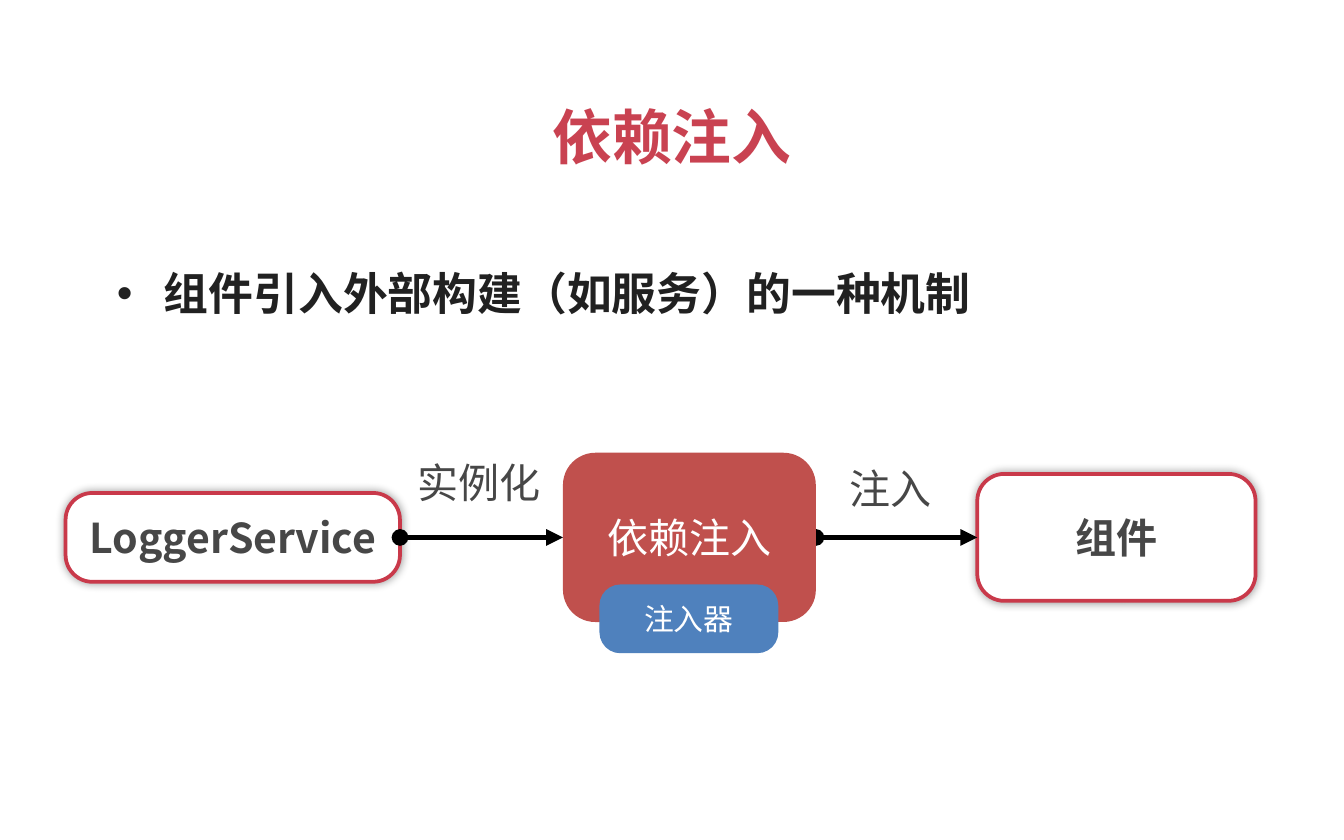
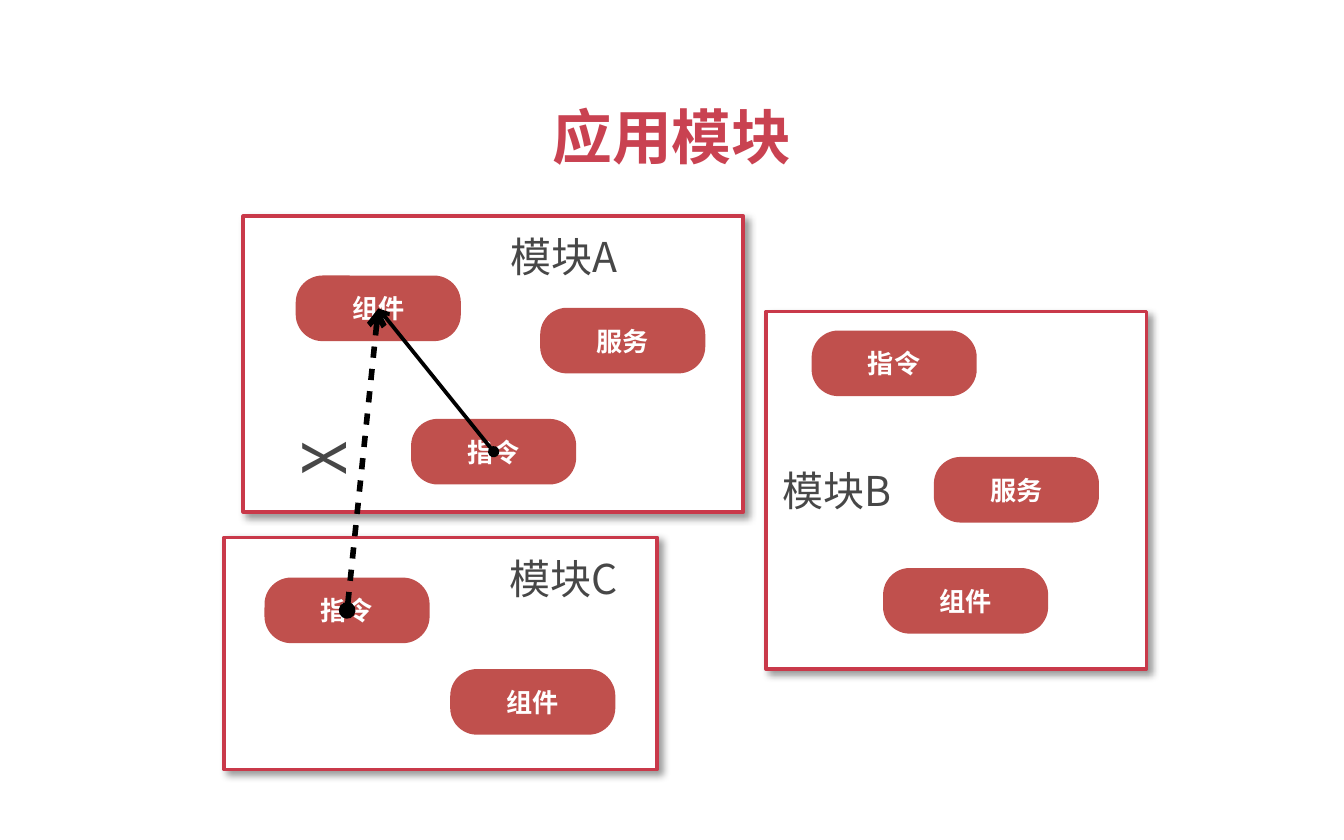
"""Build two slides on dependency injection and application modules."""
from lxml.etree import SubElement as Sub
from pptx import Presentation
from pptx.dml.color import RGBColor as RGB
from pptx.enum.shapes import MSO_CONNECTOR as Link, MSO_SHAPE as Form
from pptx.enum.text import MSO_ANCHOR as Anchor, PP_ALIGN as Align
from pptx.oxml.ns import qn
from pptx.util import Cm, Pt

RED = RGB(0xC9, 0x39, 0x4A)
ROSE = RGB(0xC9, 0x42, 0x51)
BRICK = RGB(0xC0, 0x50, 0x4D)
BLUE = RGB(0x4F, 0x81, 0xBD)
GREY = RGB(0x47, 0x47, 0x47)
INK = RGB(0x21, 0x21, 0x21)
BLACK = RGB(0, 0, 0)
WHITE = RGB(255, 255, 255)
SANS = "Noto Sans CJK SC"

HEAD = dict(size=Pt(32), bold=True, name=SANS, color=ROSE)
POINT = dict(size=Pt(24), bold=True, name=SANS, color=INK)
LABEL = dict(size=Pt(22), bold=False, name=SANS, color=GREY)
NODE = dict(LABEL, bold=True)
HUB = dict(LABEL, color=WHITE)
SMALL = dict(HUB, size=Pt(16))
CHIP = dict(size=Pt(14), bold=True, name="Arial", color=WHITE)
MARK = dict(LABEL, size=Pt(32))

GLOW = dict(blurRad=Pt(5), dist=0, dir=0)
DROP = dict(blurRad=Pt(4), dist=Pt(3), dir=45 * 60000)

TITLES = "依赖注入", "应用模块"
TITLE_AT = 1.27, 1.37, 22.86, 2.39
BULLET = "组件引入外部构建（如服务）的一种机制"
BULLET_AT = 2.08, 4.83, 22.86, 1.42

MID = 10.16
ENDS = [("LoggerService", 1.24, 6.32, 1.68, 0.302), ("组件", 18.47, 5.26, 2.4, 0.213)]
CORE = "依赖注入", 10.64, 4.78, 3.2, 0.191
STEPS = [("实例化", 7.37, 8.46), ("注入", 15.14, 8.56)]
STEP_SIZE = 3.38, 1.32
TOOL = "注入器", (11.33, 11.05, 3.38, 1.3)

MODULES = [
    ("模块C", (4.24, 10.16, 8.18, 4.39), (8.66, 10.26)),
    ("模块B", (14.48, 5.89, 7.19, 6.76), (13.82, 8.61)),
    ("模块A", (4.6, 4.09, 9.45, 5.59), (8.66, 4.19)),
]
NAME_SIZE = 3.99, 1.32
CHIP_SIZE = 3.12, 1.24
CHIPS = [
    ("组件", 5.59, 5.21), ("指令", 7.77, 7.92), ("服务", 10.21, 5.82),
    ("组件", 16.69, 10.74), ("指令", 15.34, 6.25), ("服务", 17.65, 8.64),
    ("组件", 8.51, 12.65), ("指令", 5, 10.92),
]
CALLS = [(1, 0, 2, False), (7, 0, 3, True)]
CROSS = "X", (5.36, 7.87, 1.47, 1.6)


def write(shape, text, style, align=Align.CENTER):
    frame = shape.text_frame
    frame.word_wrap = True
    frame.vertical_anchor = Anchor.MIDDLE
    for side in ("left", "top", "right", "bottom"):
        setattr(frame, f"margin_{side}", Cm(0.13))
    para = frame.paragraphs[0]
    para.alignment = align
    run = para.add_run()
    run.text = text
    for key, value in style.items():
        if key == "color":
            run.font.color.rgb = value
        else:
            setattr(run.font, key, value)
    Sub(run.font._element, qn("a:ea"), typeface=SANS)
    return para


def label(slide, text, box, style, align=Align.CENTER):
    shape = slide.shapes.add_textbox(*map(Cm, box))
    return shape, write(shape, text, style, align)


def block(slide, box, fill, form=Form.ROUNDED_RECTANGLE, bend=None, edge=None, shade=None):
    shape = slide.shapes.add_shape(form, *map(Cm, box))
    if bend is not None:
        shape.adjustments[0] = bend
    shape.fill.solid()
    shape.fill.fore_color.rgb = fill
    if edge is None:
        shape.line.fill.background()
    else:
        shape.line.color.rgb = edge
        shape.line.width = Pt(2)
    shape.shadow.inherit = False
    if shade:
        effects = shape._element.spPr.find(qn("a:effectLst"))
        attrs = {key: str(int(value)) for key, value in shade.items()}
        outer = Sub(effects, qn("a:outerShdw"), rotWithShape="0", **attrs)
        color = Sub(outer, qn("a:srgbClr"), val=str(BLACK))
        Sub(color, qn("a:alpha"), val="40000")
    return shape


def arrow(slide, start, end, width, tip, dashed=False):
    line = slide.shapes.add_connector(Link.STRAIGHT, *map(Cm, (*start, *end)))
    line.line.color.rgb = BLACK
    line.line.width = Pt(width)
    props = line._element.spPr
    stroke = props.find(qn("a:ln"))
    if dashed:
        Sub(Sub(stroke, qn("a:custDash")), qn("a:ds"), d="200000", sp="200000")
    Sub(stroke, qn("a:headEnd"), type="oval")
    Sub(stroke, qn("a:tailEnd"), type=tip)
    Sub(props, qn("a:effectLst"))
    return line


def node(slide, item, fill, style, **look):
    text, left, width, height, bend = item
    shape = block(slide, (left, MID - height / 2, width, height), fill, bend=bend, **look)
    write(shape, text, style)
    return shape


def inject(slide):
    first, last = [node(slide, item, WHITE, NODE, edge=RED, shade=GLOW) for item in ENDS]
    lines = [arrow(slide, (0, MID), (1, MID), 3, "triangle") for _ in STEPS]
    hub = node(slide, CORE, BRICK, HUB)
    for line, start, end in zip(lines, (first, hub), (hub, last)):
        line.begin_connect(start, 3)
        line.end_connect(end, 1)
    for text, *spot in STEPS:
        label(slide, text, (*spot, *STEP_SIZE), LABEL)
    para = label(slide, BULLET, BULLET_AT, POINT, Align.LEFT)[1]
    para.space_before = Pt(5)
    props = para._p.get_or_add_pPr()
    props.set("marL", str(Cm(0.89)))
    props.set("indent", str(-Cm(0.89)))
    Sub(props, qn("a:buFont"), typeface="Arial")
    Sub(props, qn("a:buChar"), char="•")
    text, box = TOOL
    write(block(slide, box, BLUE, bend=0.304), text, SMALL)


def modules(slide):
    for text, box, spot in MODULES:
        block(slide, box, WHITE, Form.RECTANGLE, edge=RED, shade=DROP)
        label(slide, text, (*spot, *NAME_SIZE), LABEL)
    wide, high = CHIP_SIZE
    for text, *spot in CHIPS:
        write(block(slide, (*spot, wide, high), BRICK, bend=0.408), text, CHIP)
    mids = [(left + wide / 2, top + high / 2) for _, left, top in CHIPS]
    for start, end, width, dashed in CALLS:
        arrow(slide, mids[start], mids[end], width, "arrow", dashed)
    text, box = CROSS
    label(slide, text, box, MARK)[0].rotation = 270


def main():
    deck = Presentation()
    deck.slide_width, deck.slide_height = Cm(25.4), Cm(15.88)
    for title, draw in zip(TITLES, (inject, modules)):
        slide = deck.slides.add_slide(deck.slide_layouts[6])
        draw(slide)
        label(slide, title, TITLE_AT, HEAD)
    deck.save("out.pptx")


if __name__ == "__main__":
    main()
